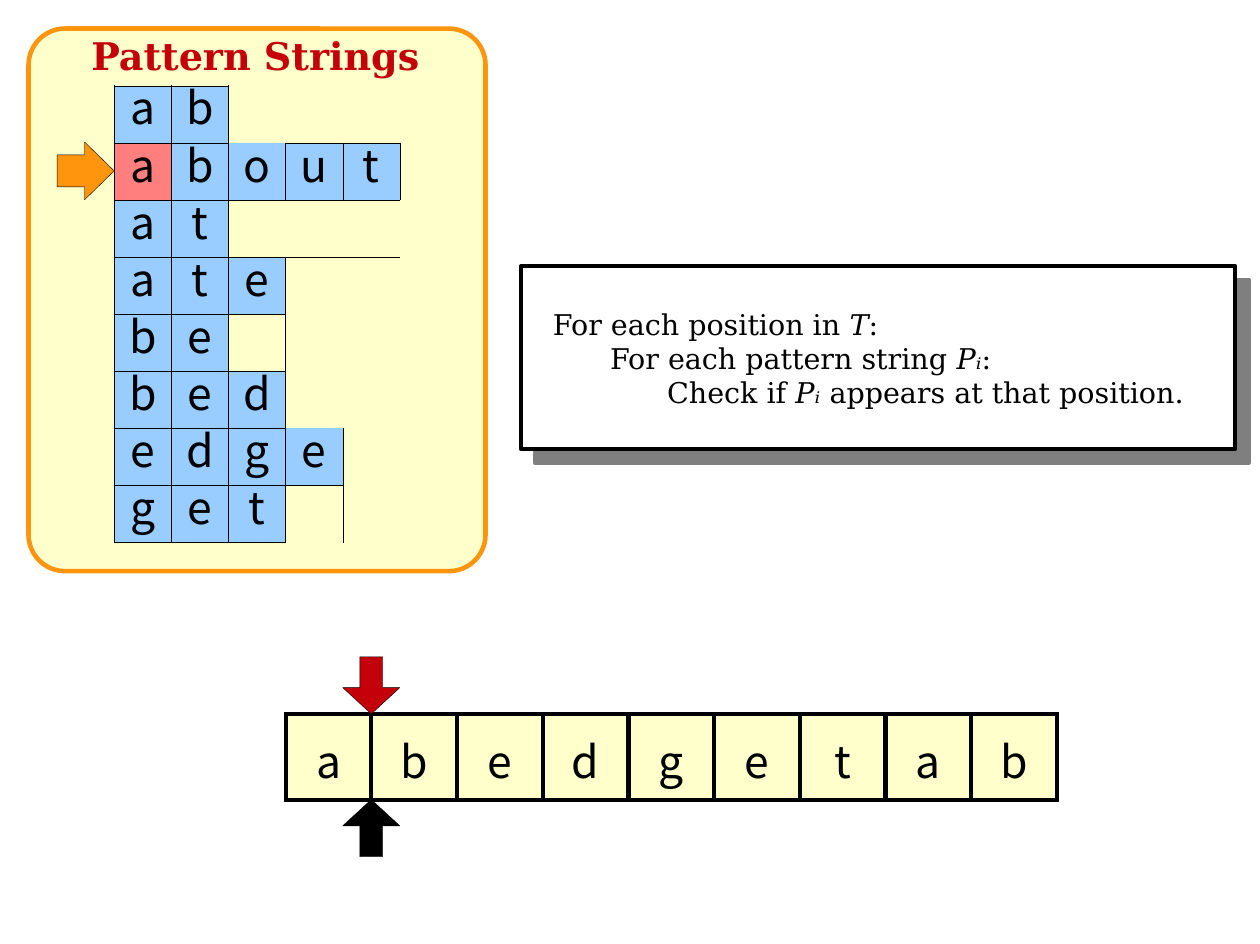
"""Build the slide on matching pattern strings at each position of a text."""
from lxml.etree import SubElement
from pptx import Presentation
from pptx.dml.color import RGBColor
from pptx.enum.shapes import MSO_SHAPE
from pptx.enum.text import MSO_ANCHOR, MSO_AUTO_SIZE, PP_ALIGN
from pptx.oxml.ns import qn
from pptx.util import Pt

COLORS = {"ink": "000000", "paper": "FFFFFF", "cream": "FFFFCC", "orange": "FF940D",
          "red": "C4000A", "blue": "99CCFF", "match": "FF7F7F", "gray": "7F7F7F"}
SERIF, LETTER = "DejaVu Serif", "Noto Sans CJK SC"
NO_STYLE = "{2D5ABB26-0587-4C30-8999-92F81FD0307C}"


class SlideBuilder:
    def __init__(self, slide):
        self.slide = slide

    def color(self, name):
        return RGBColor.from_string(COLORS[name])

    def style(self, run, size, font, color="ink", bold=False, italic=False):
        run.font.size, run.font.name = Pt(size), font
        run.font.bold, run.font.italic = bold, italic
        run.font.color.rgb = self.color(color)

    def frame(self, text_frame, top=0):
        text_frame.margin_left = text_frame.margin_right = text_frame.margin_bottom = 0
        text_frame.margin_top = Pt(top)
        text_frame.vertical_anchor = MSO_ANCHOR.TOP
        text_frame.auto_size = MSO_AUTO_SIZE.NONE
        text_frame.word_wrap = True

    def title(self, text, *box):
        heading = self.slide.shapes.title
        heading.left, heading.top, heading.width, heading.height = map(Pt, box)
        heading.text_frame.text = text
        self.frame(heading.text_frame, 1)
        paragraph = heading.text_frame.paragraphs[0]
        paragraph.alignment = PP_ALIGN.LEFT
        self.style(paragraph.runs[0], 24, SERIF, "red", bold=True)
        heading.element.getparent().append(heading.element)

    def shape(self, kind, box, fill, line, weight, adjustments=()):
        shape = self.slide.shapes.add_shape(kind, *map(Pt, box))
        shape.shadow.inherit = False
        shape.fill.solid()
        shape.fill.fore_color.rgb = self.color(fill)
        shape.line.color.rgb = self.color(line)
        shape.line.width = Pt(weight)
        for index, value in enumerate(adjustments):
            shape.adjustments[index] = value
        return shape

    def code(self, shape, lines, top):
        self.frame(shape.text_frame, top)
        for index, (indent, parts) in enumerate(lines):
            paragraph = (shape.text_frame.add_paragraph() if index
                         else shape.text_frame.paragraphs[0])
            paragraph.alignment = PP_ALIGN.LEFT
            paragraph.line_spacing = Pt(21.3)
            paragraph._p.get_or_add_pPr().set("marL", str(Pt(indent)))
            for order, part in enumerate(parts):
                run = paragraph.add_run()
                run.text = part
                self.style(run, 18, SERIF, italic=order % 2 == 1)

    def table(self, rows, columns, left, top, side):
        table = self.slide.shapes.add_table(rows, columns, Pt(left), Pt(top),
                                            Pt(columns * side), Pt(rows * side)).table
        table.first_row = table.horz_banding = False
        table._tbl.tblPr.find(qn("a:tableStyleId")).text = NO_STYLE
        for track in table.columns:
            track.width = Pt(side)
        for track in table.rows:
            track.height = Pt(side)
        return table

    def cell(self, cell, letter, edges, weight, fill, top=0, spacing=None):
        cell.margin_left = cell.margin_right = cell.margin_bottom = 0
        cell.margin_top = Pt(top)
        for edge in edges:
            border = SubElement(cell._tc.get_or_add_tcPr(), qn(f"a:ln{edge}"), w=str(Pt(weight)))
            SubElement(SubElement(border, qn("a:solidFill")), qn("a:srgbClr"), val=COLORS["ink"])
        if not letter:
            cell.fill.background()
            return
        cell.fill.solid()
        cell.fill.fore_color.rgb = self.color(fill)
        cell.text_frame.text = letter
        paragraph = cell.text_frame.paragraphs[0]
        paragraph.alignment = PP_ALIGN.CENTER
        if spacing:
            paragraph.line_spacing = Pt(spacing)
        self.style(paragraph.runs[0], 28, LETTER)


def main():
    deck = Presentation()
    deck.slide_width, deck.slide_height = Pt(794), Pt(595)
    builder = SlideBuilder(deck.slides.add_slide(deck.slide_layouts[5]))

    text = "abedgetab"
    text_row = builder.table(1, len(text), 180, 450, 54)
    for column, letter in enumerate(text):
        builder.cell(text_row.cell(0, column), letter, "LRTB", 3, "cream", top=8)

    builder.shape(MSO_SHAPE.ROUNDED_RECTANGLE, (18, 18, 288, 342), "cream", "orange", 2.9, [0.08])

    patterns = ["ab", "about", "at", "ate", "be", "bed", "edge", "get"]
    width = max(map(len, patterns))
    special_edges = {(1, 2): "LRB", (6, 3): "LRB", (4, 2): "R", (7, 3): "R",
                     (2, 2): "B", (2, 3): "B", (2, 4): "B"}
    merge_starts = {0: 2, 2: 2, 3: 3, 4: 3, 5: 3}
    pattern_grid = builder.table(len(patterns), width, 72, 54, 36)
    for row, pattern in enumerate(patterns):
        for column, letter in enumerate(pattern.ljust(width)):
            letter = letter.strip()
            edges = special_edges.get((row, column), "LRTB" if letter else "")
            fill = "match" if (row, column) == (1, 0) else "blue"
            builder.cell(pattern_grid.cell(row, column), letter, edges, 0.25, fill, spacing=32.8)
        if row in merge_starts:
            pattern_grid.cell(row, merge_starts[row]).merge(pattern_grid.cell(row, width - 1))

    builder.title("Pattern Strings", 57.6, 19.4, 215, 31)

    builder.shape(MSO_SHAPE.DOWN_ARROW, (216, 414, 36, 36), "red", "ink", 0.25, [0.4, 0.46])
    builder.shape(MSO_SHAPE.UP_ARROW, (216, 504, 36, 36), "ink", "ink", 0.25, [0.4, 0.46])
    builder.shape(MSO_SHAPE.RIGHT_ARROW, (36, 89.5, 36, 36.5), "orange", "ink", 0.25, [0.55, 0.52])

    builder.shape(MSO_SHAPE.RECTANGLE, (337, 176.4, 450, 115.2), "gray", "gray", 2.9)
    algorithm = builder.shape(MSO_SHAPE.RECTANGLE, (328.4, 167.8, 450, 115.2), "paper", "ink", 2.9)
    builder.code(algorithm, [
        (20, ["For each position in ", "T", ":"]),
        (56, ["For each pattern string ", "Pᵢ", ":"]),
        (92, ["Check if ", "Pᵢ ", "appears at that position."]),
    ], top=26)

    deck.save("out.pptx")


if __name__ == "__main__":
    main()
